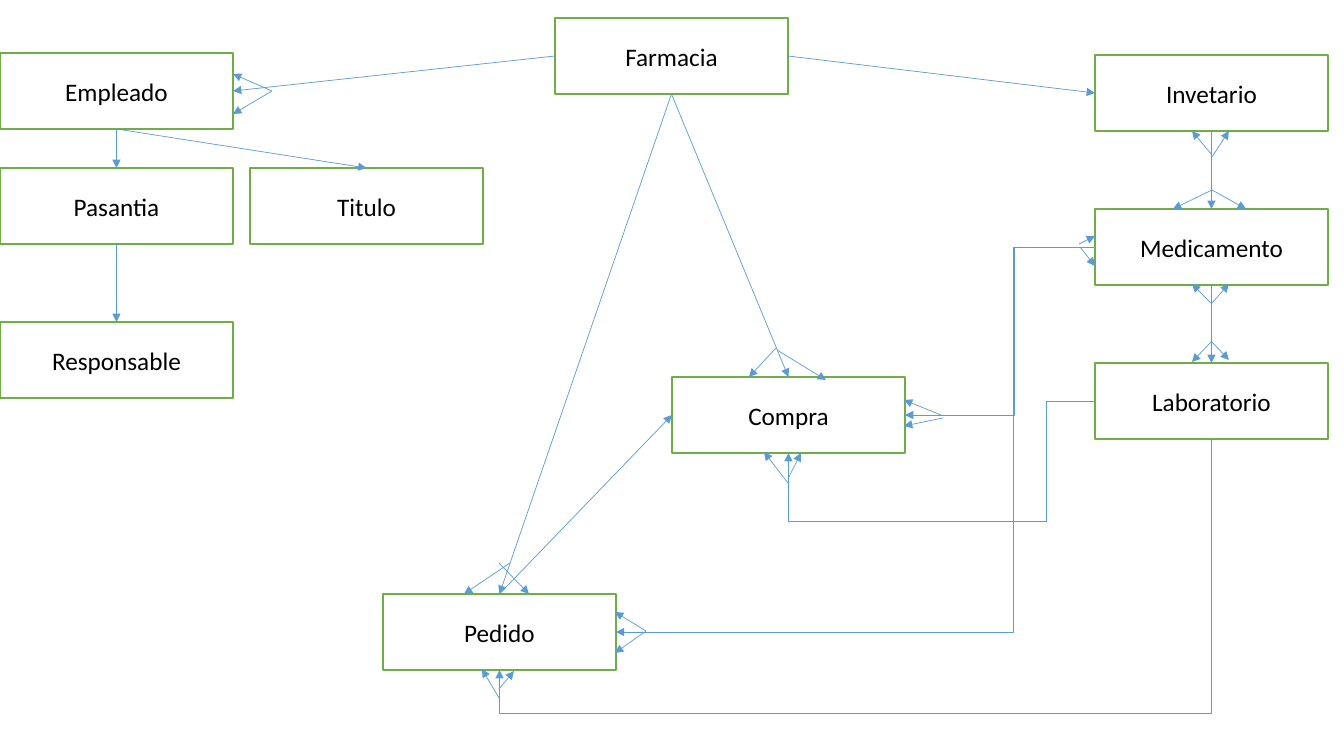
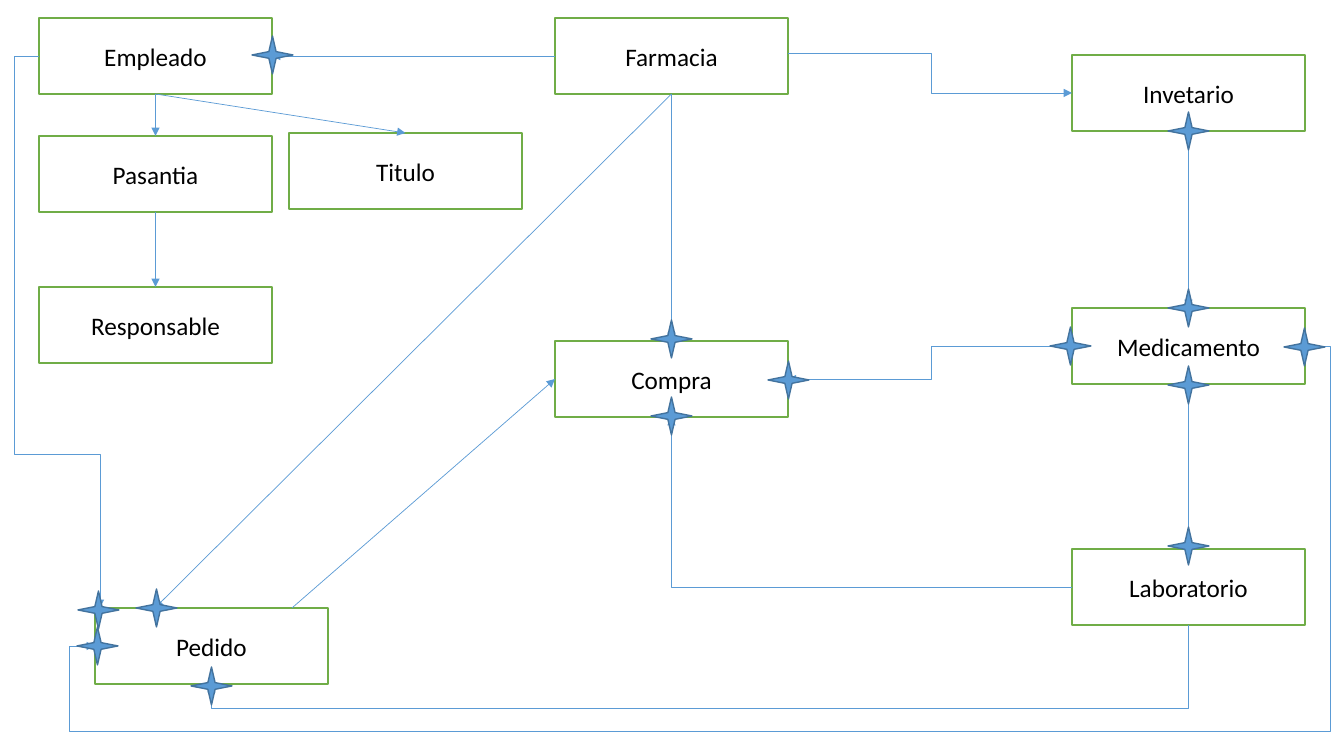
"""Build two entity diagrams of a pharmacy: crow's-foot links, then star-marked links."""
from dataclasses import dataclass

import pptx
import pptx.dml.color
import pptx.enum.shapes
import pptx.enum.text
import pptx.util
from pptx.oxml.ns import qn
from lxml import etree


@dataclass(frozen=True)
class Theme:
    paper: str = "FFFFFF"
    ink: str = "000000"
    border: str = "70AD47"
    link: str = "5B9BD5"
    star_edge: str = "43739E"
    font: str = "Calibri"
    size: int = 18
    outline: float = 1
    hairline: float = 0.5


THEME = Theme()
SCALE = 914400 / 100.8
SLIDE = (1344, 756)
BOX = (233, 76)
STAR = (41, 38)
SIDES = {"top": (0.5, 0), "left": (0, 0.5), "bottom": (0.5, 1), "right": (1, 0.5)}
SITES = list(SIDES)

DIAGRAMS = [
    {
        "boxes": {
            "Responsable": (0, 322), "Invetario": (1095, 55), "Empleado": (0, 53),
            "Titulo": (250, 168), "Laboratorio": (1095, 363), "Farmacia": (555, 18),
            "Pasantia": (0, 168), "Medicamento": (1095, 209), "Pedido": (383, 594),
            "Compra": (672, 377),
        },
        "straight": [
            (("Farmacia", "left"), ("Empleado", "right")),
            (("Farmacia", "right"), ("Invetario", "left")),
            (("Empleado", "bottom"), ("Titulo", "top")),
            (("Empleado", "bottom"), ("Pasantia", "top")),
            (("Pasantia", "bottom"), ("Responsable", "top")),
            (("Invetario", "bottom"), ("Medicamento", "top")),
            (("Medicamento", "bottom"), ("Laboratorio", "top")),
            (("Farmacia", "bottom"), ("Pedido", "top")),
            (("Farmacia", "bottom"), ("Compra", "top")),
            (("Pedido", "top"), ("Compra", "left")),
            ((272, 91), (233, 114)), ((272, 91), (233, 74)),
            ((1212, 190), (1173, 209)), ((1212, 190), (1246, 209)),
            ((1212, 155), (1192, 131)), ((1212, 157), (1229, 131)),
            ((1212, 341), (1192, 362)), ((1212, 342), (1229, 360)),
            ((1212, 304), (1192, 284)), ((1212, 303), (1229, 284)),
            ((510, 563), (464, 594)), ((499, 563), (529, 594)),
            ((776, 348), (749, 377)), ((777, 350), (826, 380)),
            ((646, 631), (615, 612)), ((646, 631), (615, 653)),
            ((1079, 244), (1095, 236)), ((1080, 247), (1095, 266)),
            ((941, 415), (904, 400)), ((943, 418), (904, 426)),
            ((499, 689), (514, 671)), ((499, 698), (482, 669)),
            ((788, 479), (801, 453)), ((788, 483), (764, 452)),
        ],
        "elbows": [
            (("Medicamento", "left"), ("Pedido", "right"), [1013]),
            (("Medicamento", "left"), ("Compra", "right"), [1014]),
            (("Laboratorio", "bottom"), ("Pedido", "bottom"), [713]),
            (("Laboratorio", "left"), ("Compra", "bottom"), [1046, 521]),
        ],
        "stars": [],
    },
    {
        "boxes": {
            "Responsable": (39, 287), "Invetario": (1072, 55), "Empleado": (39, 18),
            "Titulo": (289, 133), "Laboratorio": (1072, 549), "Farmacia": (555, 18),
            "Pasantia": (39, 136), "Medicamento": (1072, 308), "Pedido": (95, 608),
            "Compra": (555, 341),
        },
        "straight": [
            (("Pasantia", "bottom"), ("Responsable", "top")),
            (("Invetario", "bottom"), ("Medicamento", "top")),
            (("Medicamento", "bottom"), ("Laboratorio", "top")),
            (("Farmacia", "bottom"), (155, 608)),
            (("Farmacia", "bottom"), ("Compra", "top")),
            ((292, 608), ("Compra", "left")),
            (("Empleado", "bottom"), ("Pasantia", "top")),
            (("Empleado", "bottom"), ("Titulo", "top")),
            (("Farmacia", "left"), ("Empleado", "right")),
        ],
        "elbows": [
            (("Medicamento", "right"), ("Pedido", "left"), [1330, 731, 69]),
            (("Medicamento", "left"), ("Compra", "right"), [931]),
            (("Laboratorio", "bottom"), ("Pedido", "bottom"), [708]),
            (("Laboratorio", "left"), ("Compra", "bottom"), []),
            ((788, 53), ("Invetario", "left"), [931]),
            (("Empleado", "left"), (100, 608), [14, 454]),
        ],
        "stars": [
            (136, 589), (252, 36), (651, 320), (78, 591), (1168, 289), (1168, 112),
            (1168, 527), (1168, 366), (77, 627), (1284, 328), (768, 361),
            (1050, 327), (191, 667), (651, 397),
        ],
    },
]


def emu(*lengths):
    return [pptx.util.Emu(round(v * SCALE)) for v in lengths]


def rgb(value):
    return pptx.dml.color.RGBColor.from_string(value)


def is_named(end):
    return isinstance(end[0], str)


def locate(end, boxes):
    if not is_named(end):
        return end
    name, side = end
    return tuple(o + d * f for o, d, f in zip(boxes[name], BOX, SIDES[side]))


def add_outlined(s, kind, at, size, fill, line):
    sp = s.shapes.add_shape(kind, *emu(*at, *size))
    sp.shadow.inherit = False
    sp.fill.solid()
    sp.fill.fore_color.rgb = rgb(fill)
    sp.line.color.rgb = rgb(line)
    sp.line.width = pptx.util.Pt(THEME.outline)
    return sp


def add_entity(s, name, at):
    sp = add_outlined(s, pptx.enum.shapes.MSO_SHAPE.RECTANGLE, at, BOX,
                      THEME.paper, THEME.border)
    tf = sp.text_frame
    tf.vertical_anchor = pptx.enum.text.MSO_ANCHOR.MIDDLE
    p = tf.paragraphs[0]
    p.alignment = pptx.enum.text.PP_ALIGN.CENTER
    r = p.add_run()
    r.text = name
    r.font.name = THEME.font
    r.font.size = pptx.util.Pt(THEME.size)
    r.font.color.rgb = rgb(THEME.ink)
    return sp


def add_arrow(s, kind, begin, end):
    c = s.shapes.add_connector(kind, *emu(*begin, *end))
    c.line.color.rgb = rgb(THEME.link)
    c.line.width = pptx.util.Pt(THEME.hairline)
    ln = c.line._get_or_add_ln()
    etree.SubElement(ln, qn("a:tailEnd"), type="triangle")
    etree.SubElement(c._element.spPr, qn("a:effectLst"))
    return c


def add_straight(s, ends, boxes, entities):
    begin, end = (locate(e, boxes) for e in ends)
    c = add_arrow(s, pptx.enum.shapes.MSO_CONNECTOR.STRAIGHT, begin, end)
    for e, connect in zip(ends, (c.begin_connect, c.end_connect)):
        if is_named(e):
            connect(entities[e[0]], SITES.index(e[1]))


def add_elbow(s, ends, bends, boxes):
    begin, end = (locate(e, boxes) for e in ends)
    upright = ends[0][1] in ("top", "bottom")
    corners = begin, end
    if upright:
        mid = [(a + b) / 2 for a, b in zip(begin, end)]
        half = [abs(b - a) / 2 for a, b in zip(begin, end)]
        corners = [(mid[0] + k * half[1], mid[1] + k * half[0]) for k in (-1, 1)]
    c = add_arrow(s, pptx.enum.shapes.MSO_CONNECTOR.ELBOW, *corners)
    if upright:
        c._element.spPr.find(qn("a:xfrm")).set("rot", "5400000")
    geom = c._element.spPr.find(qn("a:prstGeom"))
    geom.set("prst", f"bentConnector{len(bends) + 2}")
    guides = geom.find(qn("a:avLst"))
    if guides is None:
        guides = etree.SubElement(geom, qn("a:avLst"))
    for i, bend in enumerate(bends):
        axis = (i + upright) % 2
        share = (bend - begin[axis]) / (end[axis] - begin[axis])
        etree.SubElement(guides, qn("a:gd"), name=f"adj{i + 1}",
                         fmla=f"val {round(share * 100000)}")


def add_diagram(prs, diagram):
    s = prs.slides.add_slide(prs.slide_layouts[6])
    boxes = diagram["boxes"]
    entities = {name: add_entity(s, name, at) for name, at in boxes.items()}
    for ends in diagram["straight"]:
        add_straight(s, ends, boxes, entities)
    for *ends, bends in diagram["elbows"]:
        add_elbow(s, ends, bends, boxes)
    for at in diagram["stars"]:
        add_outlined(s, pptx.enum.shapes.MSO_SHAPE.STAR_4_POINT, at, STAR,
                     THEME.link, THEME.star_edge)


prs = pptx.Presentation()
prs.slide_width, prs.slide_height = emu(*SLIDE)
for diagram in DIAGRAMS:
    add_diagram(prs, diagram)
prs.save("out.pptx")
